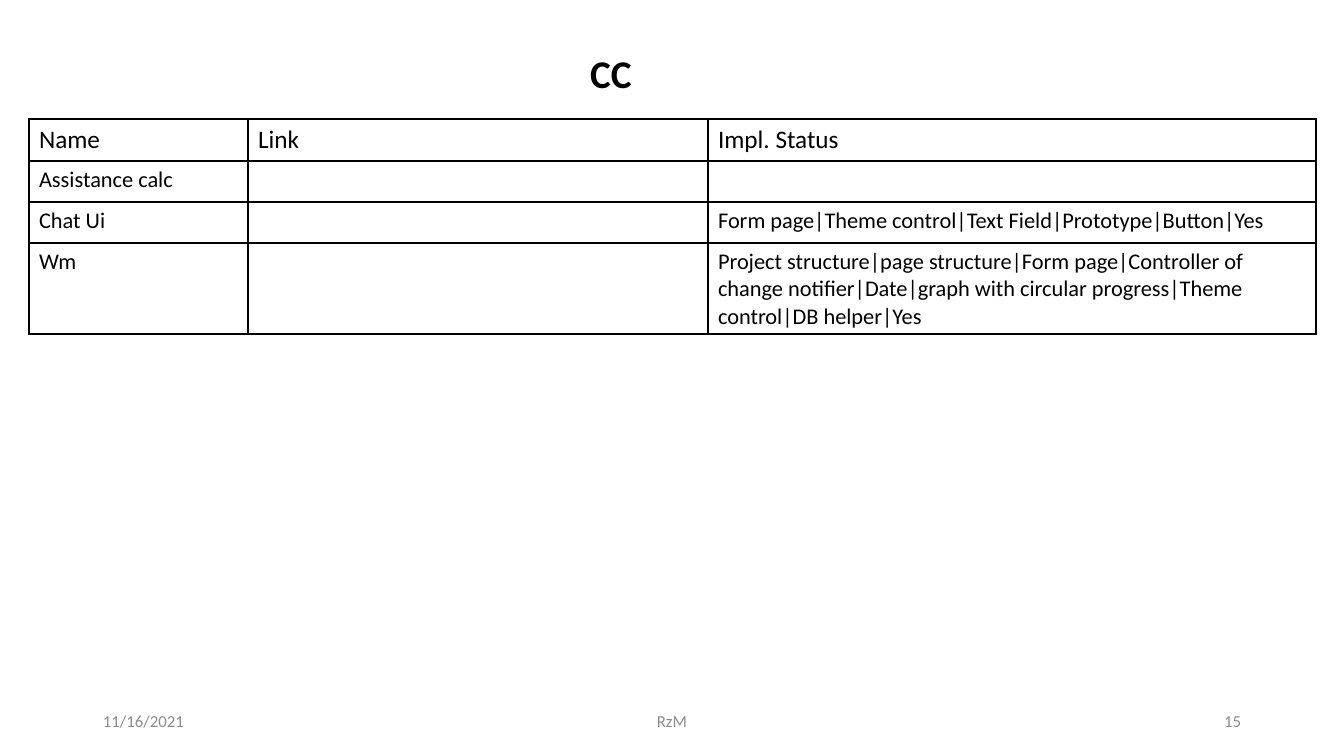
from lxml import etree
from pptx import Presentation
from pptx.dml.color import RGBColor
from pptx.enum.text import MSO_ANCHOR, MSO_AUTO_SIZE, PP_ALIGN
from pptx.oxml.ns import qn
from pptx.util import Pt

TOP, MIDDLE = MSO_ANCHOR.TOP, MSO_ANCHOR.MIDDLE
LEFT, CENTER, RIGHT = PP_ALIGN.LEFT, PP_ALIGN.CENTER, PP_ALIGN.RIGHT
GROW = MSO_AUTO_SIZE.SHAPE_TO_FIT_TEXT

PX_PER_INCH = 100.8
THEME = {
    "font": "Calibri",
    "text": "000000", "footer": "8C8C8C", "border": "000000", "cell": "FFFFFF",
    "cell_alpha": 20,
    "title_size": 28, "head_size": 18, "body_size": 16, "footer_size": 12,
}


def px(*lengths):
    """Turn pixel lengths into a list of EMU."""
    return [round(n * 914400 / PX_PER_INCH) for n in lengths]


def write(tf, text, size, color="text", align=LEFT, bold=False):
    p = tf.paragraphs[0]
    p.alignment = align
    r = p.add_run()
    r.text = text
    fmt = {"name": THEME["font"], "size": Pt(THEME[size]), "bold": bold}
    for name, value in fmt.items():
        setattr(r.font, name, value)
    r.font.color.rgb = RGBColor.from_string(THEME[color])


prs = Presentation()
prs.slide_width, prs.slide_height = px(1344, 756)
s = prs.slides.add_slide(prs.slide_layouts[5])

# Title
title = s.shapes.title
title.left, title.top, title.width, title.height = px(580, 44, 238, 57)
title.text_frame.vertical_anchor = TOP
title.text_frame.auto_size = GROW
write(title.text_frame, "CC", "title_size", bold=True)

# Table
ROWS = [
    ("Name", "Link", "Impl. Status"),
    ("Assistance calc", "", ""),
    ("Chat Ui", "", "Form page|Theme control|Text Field|Prototype|Button|Yes"),
    ("Wm", "", "Project structure|page structure|Form page|Controller of change "
               "notifier|Date|graph with circular progress|Theme control|DB helper|Yes"),
]
COL_WIDTHS = px(219, 460, 608)
ROW_HEIGHTS = px(42, 41, 41, 91)

left, top = px(29, 119)
table = s.shapes.add_table(len(ROWS), len(COL_WIDTHS), left, top,
                           sum(COL_WIDTHS), sum(ROW_HEIGHTS)).table
table.horz_banding = False
for column, width in zip(table.columns, COL_WIDTHS):
    column.width = width
for row, height in zip(table.rows, ROW_HEIGHTS):
    row.height = height

for i, texts in enumerate(ROWS):
    for j, text in enumerate(texts):
        cell = table.cell(i, j)
        if text:
            write(cell.text_frame, text, "body_size" if i else "head_size")
        tcPr = cell._tc.get_or_add_tcPr()
        if i:
            cell.fill.solid()
            cell.fill.fore_color.rgb = RGBColor.from_string(THEME["cell"])
            etree.SubElement(tcPr.find(".//" + qn("a:srgbClr")), qn("a:alpha"),
                             val=str(THEME["cell_alpha"] * 1000))
        else:
            cell.fill.background()
        for k, side in enumerate(("a:lnL", "a:lnR", "a:lnT", "a:lnB")):
            ln = etree.Element(qn(side), w=str(Pt(1)))
            fill = etree.SubElement(ln, qn("a:solidFill"))
            etree.SubElement(fill, qn("a:srgbClr"), val=THEME["border"])
            tcPr.insert(k, ln)

# Footer
for text, x, width, align in (("11/16/2021", 93, 302, LEFT),
                              ("RzM", 445, 454, CENTER),
                              ("15", 949, 302, RIGHT)):
    tf = s.shapes.add_textbox(*px(x, 701, width, 40)).text_frame
    tf.word_wrap = True
    tf.vertical_anchor = MIDDLE
    write(tf, text, "footer_size", "footer", align)

prs.save("out.pptx")
